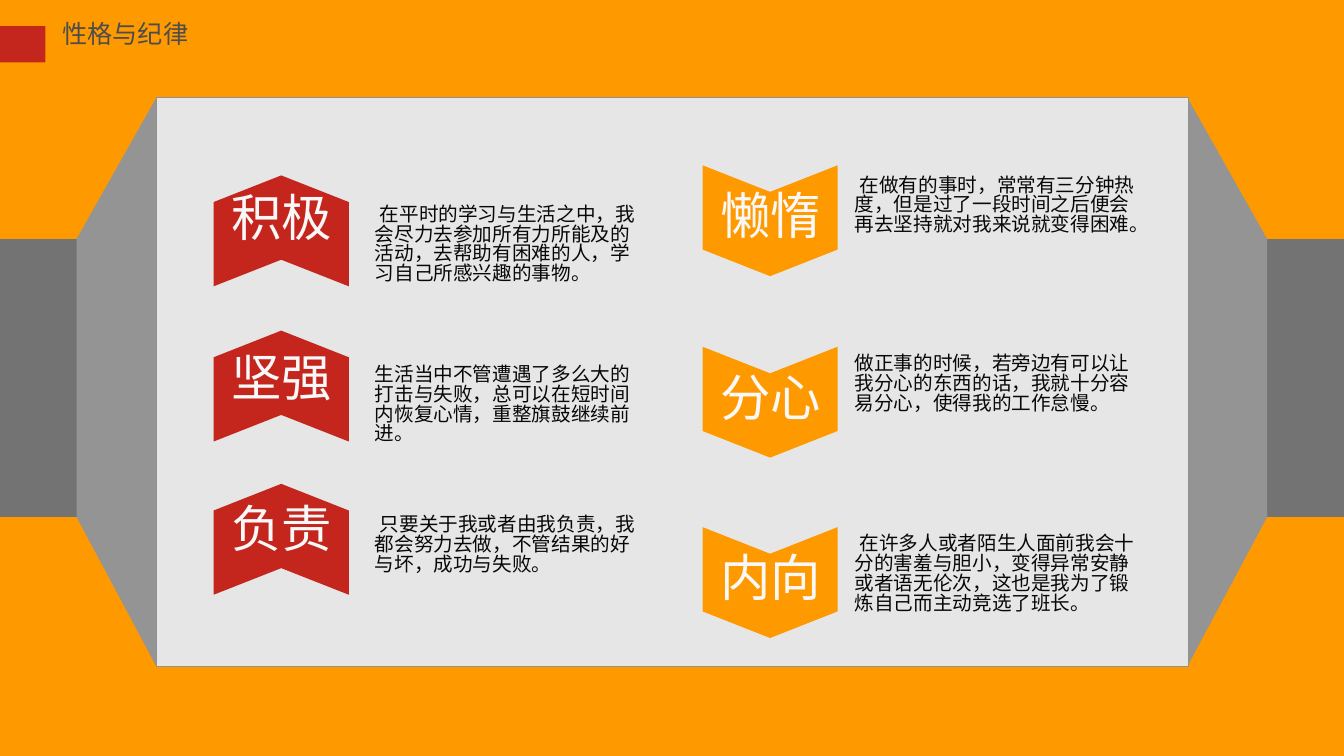
from lxml import etree
from pptx import Presentation
from pptx import util as u
from pptx.dml.color import RGBColor
from pptx.enum import shapes, text
from pptx.oxml import ns

PX = u.Inches(1) // 100
WIDTH, HEIGHT = 1333, 750

ORANGE = RGBColor(0xFF, 0x99, 0x00)
RED = RGBColor(0xC4, 0x26, 0x1D)
PANEL = RGBColor(0xE7, 0xE6, 0xE6)
EDGE = RGBColor(0x92, 0x90, 0x90)
WALL = RGBColor(0x73, 0x73, 0x73)
SLOPE = RGBColor(0x94, 0x94, 0x94)
WHITE = RGBColor(0xF8, 0xF8, 0xF8)
BLACK = RGBColor(0x08, 0x08, 0x08)
GREY = RGBColor(0x4D, 0x4D, 0x4D)

# Left half of the folded backdrop; the right half mirrors it.
FOLDS = [
    (WALL, [(0, 237), (76, 237), (76, 513), (0, 513)]),
    (SLOPE, [(155, 97), (76, 237), (76, 513), (155, 661)]),
]

# Each column: fill, rotation, chevron left, text left, text width, traits.
# Each trait: chevron top, label top, label, text top, text height, indent, text.
COLUMNS = [
    (RED, 270, 224, 362, 290, [
        (162, 189, "积极", 199, 104, 5,
         "在平时的学习与生活之中，我会尽力去参加所有力所能及的活动，去帮助有困难的人，学习自己所感兴趣的事物。"),
        (316, 348, "坚强", 358, 104, 0,
         "生活当中不管遭遇了多么大的打击与失败，总可以在短时间内恢复心情，重整旗鼓继续前进。"),
        (468, 498, "负责", 507, 84, 5,
         "只要关于我或者由我负责，我都会努力去做，不管结果的好与坏，成功与失败。"),
    ]),
    (ORANGE, 90, 709, 838, 310, [
        (152, 187, "懒惰", 170, 81, 5,
         "在做有的事时，常常有三分钟热度，但是过了一段时间之后便会再去坚持就对我来说就变得困难。"),
        (332, 368, "分心", 347, 81, 0,
         "做正事的时候，若旁边有可以让我分心的东西的话，我就十分容易分心，使得我的工作怠慢。"),
        (511, 547, "内向", 526, 108, 5,
         "在许多人或者陌生人面前我会十分的害羞与胆小，变得异常安静或者语无伦次，这也是我为了锻炼自己而主动竞选了班长。"),
    ]),
]


class Painter:
    font = "Noto Sans CJK SC"
    line_spacing = 0.84

    def __init__(self, page):
        self.page = page

    def paint(self, shape, fill, line=None):
        shape.shadow.inherit = False
        shape.fill.solid()
        shape.fill.fore_color.rgb = fill
        if line is None:
            shape.line.fill.background()
        else:
            shape.line.color.rgb = line
            shape.line.width = u.Pt(0.75)
        return shape

    def shape(self, kind, bounds, fill, line=None):
        shape = self.page.shapes.add_shape(kind, *(n * PX for n in bounds))
        return self.paint(shape, fill, line)

    def outline(self, points, fill):
        builder = self.page.shapes.build_freeform(*points[0], scale=PX)
        builder.add_line_segments(points[1:], close=True)
        self.paint(builder.convert_to_shape(), fill)

    def chevron(self, left, top, rotation, fill):
        shape = self.shape(shapes.MSO_SHAPE.CHEVRON, (left, top, 110, 134), fill)
        shape.adjustments[0] = 0.24
        shape.rotation = rotation

    def text(self, words, bounds, size, color, align=text.PP_ALIGN.LEFT, wrap=False, indent=0):
        """Add one paragraph; indent moves its first line only."""
        box = self.page.shapes.add_textbox(*(n * PX for n in bounds))
        frame = box.text_frame
        frame.word_wrap = wrap
        frame.auto_size = text.MSO_AUTO_SIZE.SHAPE_TO_FIT_TEXT
        para = frame.paragraphs[0]
        for name, value in {"alignment": align, "line_spacing": self.line_spacing}.items():
            setattr(para, name, value)
        if indent:
            para._p.get_or_add_pPr().set("indent", str(indent * PX))
        span = para.add_run()
        span.text = words
        for name, value in {"name": self.font, "size": u.Pt(size)}.items():
            setattr(span.font, name, value)
        span.font.color.rgb = color
        east_asian = etree.SubElement(span._r.get_or_add_rPr(), ns.qn("a:ea"))
        east_asian.set("typeface", self.font)


def main():
    deck = Presentation()
    deck.slide_width, deck.slide_height = u.Inches(13.333), u.Inches(7.5)
    page = deck.slides.add_slide(deck.slide_layouts[6])
    page.background.fill.solid()
    page.background.fill.fore_color.rgb = ORANGE
    painter = Painter(page)

    for fill, points in FOLDS:
        painter.outline(points, fill)
        painter.outline([(WIDTH - x, y) for x, y in points], fill)
    painter.shape(shapes.MSO_SHAPE.RECTANGLE, (155, 97, 1024, 564), PANEL, EDGE)

    painter.shape(shapes.MSO_SHAPE.RECTANGLE, (0, 26, 45, 36), RED)
    painter.text("性格与纪律", (52, 18, 146, 40), 18, GREY)

    for fill, rotation, left, text_left, text_width, traits in COLUMNS:
        for top, label_top, label, text_top, text_height, indent, words in traits:
            painter.chevron(left, top, rotation, fill)
            painter.text(label, (left - 5, label_top, 121, 71), 36, WHITE,
                         align=text.PP_ALIGN.CENTER)
            painter.text(words, (text_left, text_top, text_width, text_height), 14, BLACK,
                         wrap=True, indent=indent)

    deck.save("out.pptx")


if __name__ == "__main__":
    main()
